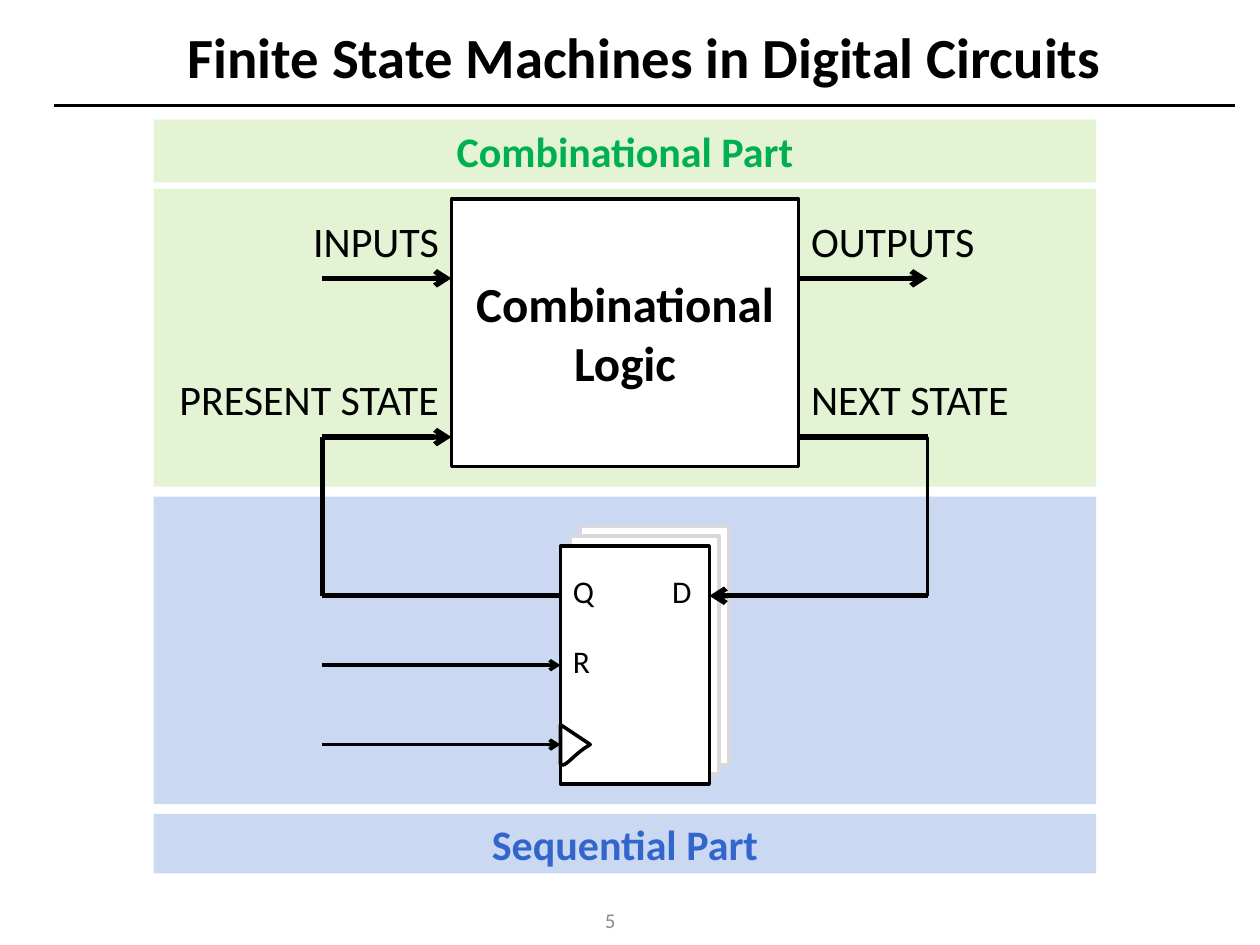
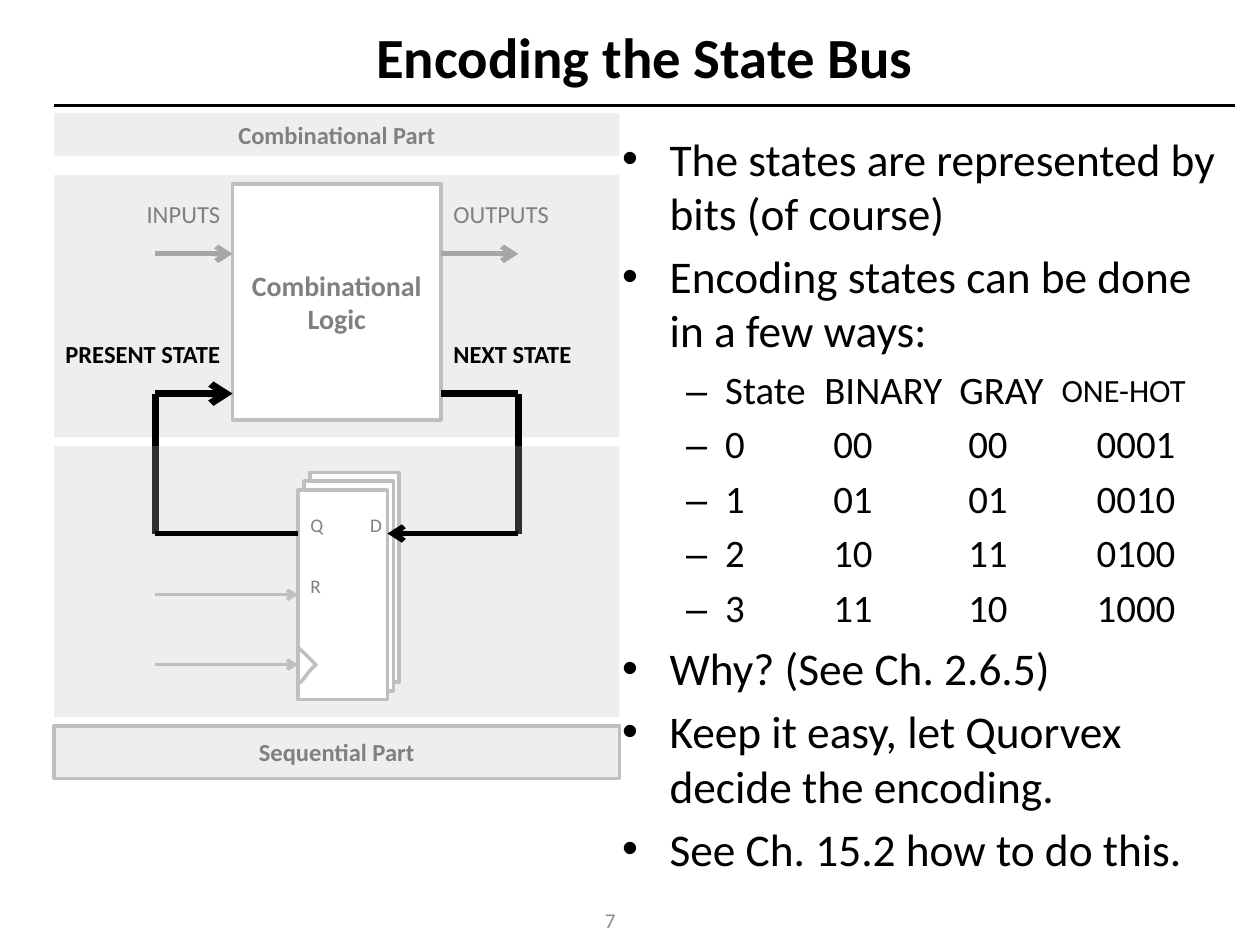
from dataclasses import dataclass

from lxml import etree
from pptx import Presentation
from pptx.dml.color import RGBColor
from pptx.enum import shapes, text
from pptx.oxml import ns
from pptx.util import Cm, Pt

LEFT, CENTER, RIGHT = text.PP_ALIGN.LEFT, text.PP_ALIGN.CENTER, text.PP_ALIGN.RIGHT
TOP, MIDDLE = text.MSO_ANCHOR.TOP, text.MSO_ANCHOR.MIDDLE


@dataclass(frozen=True)
class Theme:
    font: str = "Calibri"
    ink: str = "000000"
    paper: str = "FFFFFF"
    page_ink: str = "8C8C8C"
    title_size: float = 32.4
    bullet_size: float = 25.9
    table_size: float = 22.2
    small_head_size: float = 18.5
    page_size: float = 12
    rule: float = 2
    band_opacity: int = 25


@dataclass(frozen=True)
class DiagramStyle:
    """Look of one state machine diagram; widths in points, header in cm."""
    header: tuple = (-1.4, 1.27)
    comb_fill: str = "92D050"
    seq_fill: str = "3366CC"
    seq_outline: str = None
    comb_ink: str = "00B050"
    seq_ink: str = "3366CC"
    block_line: str = "000000"
    back_line: str = "D9D9D9"
    label_ink: str = "000000"
    io_line: str = "000000"
    control_line: str = "000000"
    band_size: float = 24
    logic_size: float = 28
    label_size: float = 24
    pin_size: float = 18
    state_bold: bool = False
    state_overhang: float = 0
    bus_width: float = 3
    next_drop_width: float = 2
    band_over_bus: bool = False


THEME = Theme()
COLOURED = DiagramStyle()
BUS_ONLY = DiagramStyle(
    header=(-1.25, 0.86), comb_fill="BFBFBF", seq_fill="BFBFBF", seq_outline="BFBFBF",
    comb_ink="808080", seq_ink="808080", block_line="BFBFBF", back_line="BFBFBF",
    label_ink="808080", io_line="A6A6A6", control_line="BFBFBF",
    band_size=14, logic_size=16, label_size=14, pin_size=11,
    state_bold=True, state_overhang=0.8, bus_width=4, next_drop_width=4,
    band_over_bus=True)


def rgb(value):
    return RGBColor.from_string(value)


def add_xml(parent, tag, **attributes):
    return etree.SubElement(parent, ns.qn(tag), attributes)


def set_font(p, size, color=THEME.ink, bold=False):
    p.font.name, p.font.size, p.font.bold = THEME.font, Pt(size), bold
    p.font.color.rgb = rgb(color)


def write(sp, words, size, color=THEME.ink, bold=False, align=LEFT, anchor=TOP):
    tf = sp.text_frame
    tf.word_wrap = True
    tf.vertical_anchor = anchor
    p = tf.paragraphs[0]
    p.text, p.alignment = words, align
    set_font(p, size, color, bold)
    return tf


def add_bullet(p, mark, indent):
    pPr = p._p.get_or_add_pPr()
    pPr.set("marL", str(Cm(indent)))
    pPr.set("indent", str(-Cm(indent)))
    add_xml(pPr, "a:buFont", typeface="Arial")
    add_xml(pPr, "a:buChar", char=mark)


def paint(sp, fill, line=None, opacity=None):
    sp.shadow.inherit = False
    sp.fill.solid()
    sp.fill.fore_color.rgb = rgb(fill)
    if opacity:
        color = sp.fill._xPr.find(ns.qn("a:solidFill"))[0]
        add_xml(color, "a:alpha", val=str(opacity * 1000))
    if line:
        sp.line.color.rgb, sp.line.width = rgb(line), Pt(THEME.rule)
    else:
        sp.line.fill.background()


def add_line(slide, start, end, color, width, arrow=False):
    line = slide.shapes.add_connector(shapes.MSO_CONNECTOR.STRAIGHT, *start, *end)
    line.line.color.rgb, line.line.width = rgb(color), Pt(width)
    spPr = line._element.spPr
    if arrow:
        add_xml(spPr.find(ns.qn("a:ln")), "a:tailEnd", type="arrow")
    add_xml(spPr, "a:effectLst")


class StateMachine:
    """Diagram drawn on a 19 by 13.8 grid that is stretched over a box in cm."""
    GRID_W, GRID_H = 19, 13.8
    LOGIC_L, LOGIC_R = 6, 13
    LOOP_L, LOOP_R = 3.4, 15.6
    FLOP_L, FLOP_R = 8.2, 11.2
    IO_Y, STATE_Y, DATA_Y, RESET_Y, CLOCK_Y = 1.8, 5, 8.2, 9.6, 11.2

    def __init__(self, slide, box, style):
        self.slide, self.style = slide, style
        self.left, self.top, width, height = box
        self.sx, self.sy = width / self.GRID_W, height / self.GRID_H

    def at(self, x, y):
        return Cm(self.left + x * self.sx), Cm(self.top + y * self.sy)

    def place(self, x, y, w, h):
        return (*self.at(x, y), Cm(w * self.sx), Cm(h * self.sy))

    def rect(self, area, fill, line=None, opacity=None):
        sp = self.slide.shapes.add_shape(shapes.MSO_SHAPE.RECTANGLE, *area)
        paint(sp, fill, line, opacity)
        return sp

    def band(self, area, fill, line=None):
        return self.rect(area, fill, line, THEME.band_opacity)

    def wire(self, start, end, color=THEME.ink, width=3, arrow=False):
        add_line(self.slide, self.at(*start), self.at(*end), color, width, arrow)

    def label(self, x, y, w, words, color, bold=False, align=LEFT):
        sp = self.slide.shapes.add_textbox(*self.place(x, y, w, 1.2))
        write(sp, words, self.style.label_size, color, bold, align)

    def pin(self, x, y, name):
        sp = self.slide.shapes.add_textbox(*self.place(x, y, 1, 1))
        tf = write(sp, name, self.style.pin_size, self.style.label_ink)
        tf.margin_right = 0

    def draw(self):
        if not self.style.band_over_bus:
            self.sequential_band()
        self.combinational_part()
        self.state_loop()
        if self.style.band_over_bus:
            self.sequential_band()
        self.flip_flops()
        self.captions()

    def sequential_band(self):
        self.band(self.place(0, 6.2, self.GRID_W, 6.2), self.style.seq_fill)

    def combinational_part(self):
        s = self.style
        self.band(self.place(0, 0, self.GRID_W, 6), s.comb_fill)
        logic = self.rect(self.place(self.LOGIC_L, 0.2, 7, 5.4), THEME.paper, s.block_line)
        write(logic, "Combinational Logic", s.logic_size, s.label_ink, True, CENTER, MIDDLE)
        for start, end in ((self.LOOP_L, self.LOGIC_L), (self.LOGIC_R, self.LOOP_R)):
            self.wire((start, self.IO_Y), (end, self.IO_Y), s.io_line, arrow=True)
        state_ink = THEME.ink if s.state_bold else s.label_ink
        rows = ((0.4, "INPUTS", "OUTPUTS", s.label_ink, False, 0),
                (3.6, "PRESENT STATE", "NEXT STATE", state_ink, s.state_bold, s.state_overhang))
        for y, source, result, color, bold, overhang in rows:
            self.label(-overhang, y, 6 + overhang, source, color, bold, RIGHT)
            self.label(self.LOGIC_R, y, 6, result, color, bold)

    def state_loop(self):
        width = self.style.bus_width
        present, nxt = (self.LOOP_L, self.STATE_Y), (self.LOOP_R, self.STATE_Y)
        self.wire(present, (self.LOGIC_L, self.STATE_Y), width=width, arrow=True)
        self.wire((self.LOGIC_R, self.STATE_Y), nxt, width=width)
        self.wire((self.LOOP_L, self.DATA_Y), present, width=width)
        self.wire((self.LOOP_R, self.DATA_Y), nxt, width=self.style.next_drop_width)

    def flip_flops(self):
        s = self.style
        for shift in (0.4, 0.2, 0):
            self.rect(self.place(self.FLOP_L + shift, 7.2 - shift, 3, 4.8), THEME.paper,
                      s.back_line if shift else s.block_line)
        self.wire((self.LOOP_R, self.DATA_Y), (self.FLOP_R, self.DATA_Y), arrow=True)
        self.wire((self.LOOP_L, self.DATA_Y), (self.FLOP_L, self.DATA_Y))
        for y in (self.RESET_Y, self.CLOCK_Y):
            self.wire((self.LOOP_L, y), (self.FLOP_L, y), s.control_line, 2, True)
        self.clock_mark()
        for x, y, name in ((self.FLOP_L, 7.6, "Q"), (10.2, 7.6, "D"), (self.FLOP_L, 9, "R")):
            self.pin(x, y, name)

    def clock_mark(self):
        """Triangle whose lower edge is a cubic curve."""
        x, y, steps = self.FLOP_L, self.CLOCK_Y, 8
        curve = ((x + 0.6, y), (x + 0.25, y + 0.2), (x + 0.1, y + 0.48), (x, y + 0.4))
        edge = []
        for t in (i / steps for i in range(steps + 1)):
            weights = ((1 - t) ** 3, 3 * t * (1 - t) ** 2, 3 * t * t * (1 - t), t ** 3)
            edge.append(self.at(*(sum(w * c for w, c in zip(weights, axis))
                                  for axis in zip(*curve))))
        outline = self.slide.shapes.build_freeform(*self.at(x, y - 0.4))
        outline.add_line_segments(edge)
        paint(outline.convert_to_shape(), THEME.paper, self.style.block_line)

    def captions(self):
        s = self.style
        offset, height = s.header
        header = (Cm(self.left), Cm(self.top + offset), Cm(self.GRID_W * self.sx), Cm(height))
        footer = self.place(0, 12.6, self.GRID_W, 1.2)
        for words, area, fill, line, ink in (
                ("Combinational Part", header, s.comb_fill, None, s.comb_ink),
                ("Sequential Part", footer, s.seq_fill, s.seq_outline, s.seq_ink)):
            write(self.band(area, fill, line), words, s.band_size, ink, True, CENTER, MIDDLE)


def add_base(prs, title, number):
    """Slide with the shared title, rule and page number."""
    slide = prs.slides.add_slide(prs.slide_layouts[5])
    sp = slide.shapes.title
    sp.left, sp.top, sp.width, sp.height = Cm(0.89), Cm(0.33), Cm(24.2), Cm(1.6)
    write(sp, title, THEME.title_size, bold=True, align=CENTER, anchor=MIDDLE)
    add_line(slide, (Cm(1.09), Cm(2.13)), (Cm(24.9), Cm(2.13)), THEME.ink, THEME.rule)
    page = slide.shapes.add_textbox(Cm(9.7), Cm(18.03), Cm(5.2), Cm(1.02))
    write(page, str(number), THEME.page_size, THEME.page_ink, align=CENTER, anchor=MIDDLE)
    return slide


def add_bullets(slide, box, items):
    tf = slide.shapes.add_textbox(*map(Cm, box)).text_frame
    tf.word_wrap = True
    for i, item in enumerate(items):
        p = tf.add_paragraph() if i else tf.paragraphs[0]
        p.text = item
        add_bullet(p, "•", 0.96)
        if i:
            p.space_before = Pt(5)
        set_font(p, THEME.bullet_size)


def add_encodings(slide, left, top):
    rows = (("State", "BINARY", "GRAY", "ONE-HOT"),
            ("0", "00", "00", "0001"), ("1", "01", "01", "0010"),
            ("2", "10", "11", "0100"), ("3", "11", "10", "1000"))
    widths, value_indents, row_height = (2.8, 2.72, 2.06, 3.2), (0, 0.18, 0.18, 0.71), 1.1
    frame = slide.shapes.add_table(len(rows), len(widths), Cm(left), Cm(top),
                                   Cm(sum(widths)), Cm(row_height * len(rows)))
    table = frame.table
    table.first_row = table.horz_banding = False
    for column, width in zip(table.columns, widths):
        column.width = Cm(width)
    for r, row in enumerate(rows):
        table.rows[r].height = Cm(row_height)
        for c, words in enumerate(row):
            cell = table.cell(r, c)
            cell.fill.background()
            cell.vertical_anchor = MIDDLE
            cell.margin_top = cell.margin_bottom = cell.margin_right = 0
            cell.margin_left = Cm(value_indents[c] if r else 0)
            p = cell.text_frame.paragraphs[0]
            p.text = words
            if c == 0:
                add_bullet(p, "–", 0.8)
            set_font(p, THEME.small_head_size if words == "ONE-HOT" else THEME.table_size)


def add_circuit_slide(prs):
    slide = add_base(prs, "Finite State Machines in Digital Circuits", 5)
    StateMachine(slide, (3.1, 3.81, 19, 13.8), COLOURED).draw()


def add_encoding_slide(prs):
    slide = add_base(prs, "Encoding the State Bus", 7)
    left, width = 12.29, 12.6
    add_bullets(slide, (left, 2.51, width, 4.8),
                ("The states are represented by bits (of course)",
                 "Encoding states can be done in a few ways:"))
    add_encodings(slide, left + 1.53, 7.33)
    add_bullets(slide, (left, 12.78, width, 4.9),
                ("Why? (See Ch. 2.6.5)",
                 "Keep it easy, let Quorvex decide the encoding.",
                 "See Ch. 15.2 how to do this."))
    StateMachine(slide, (1.09, 3.53, 11.4, 12.16), BUS_ONLY).draw()


def main():
    prs = Presentation()
    prs.slide_width, prs.slide_height = Cm(25.4), Cm(19.05)
    add_circuit_slide(prs)
    add_encoding_slide(prs)
    prs.save("out.pptx")


if __name__ == "__main__":
    main()
